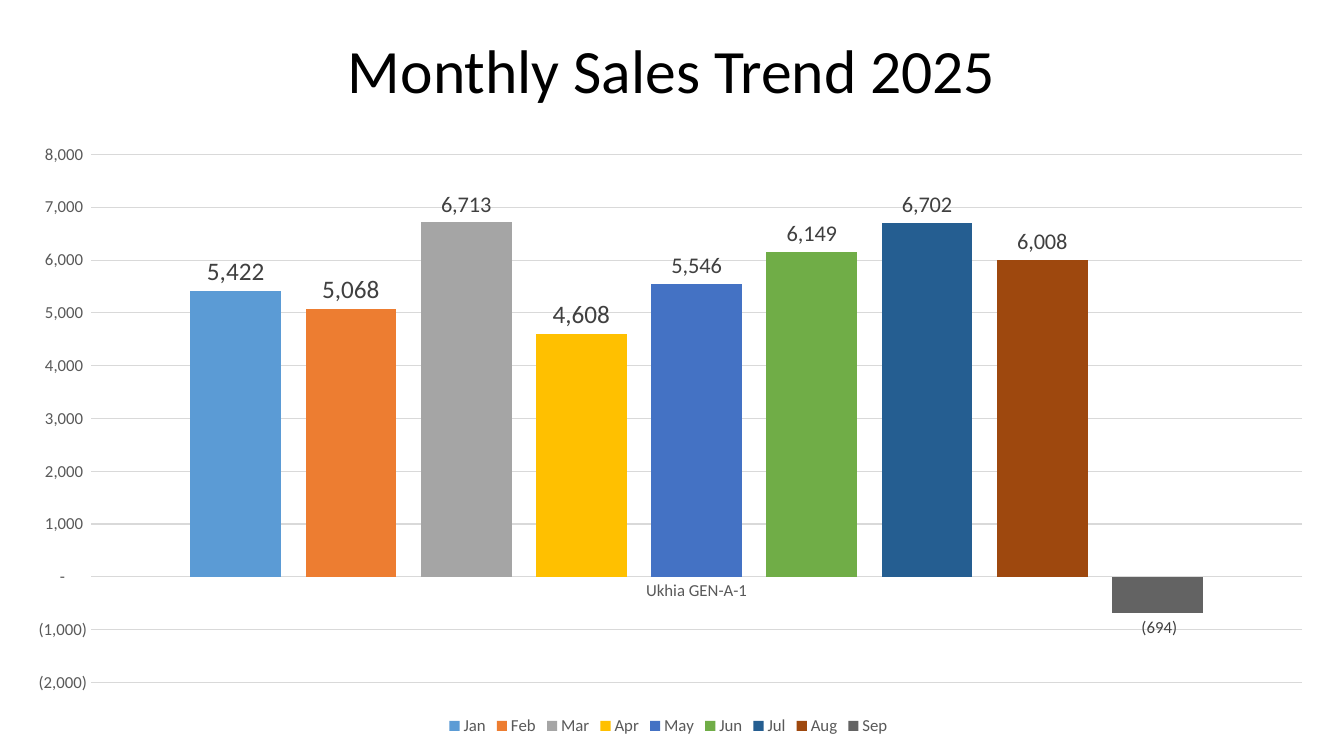
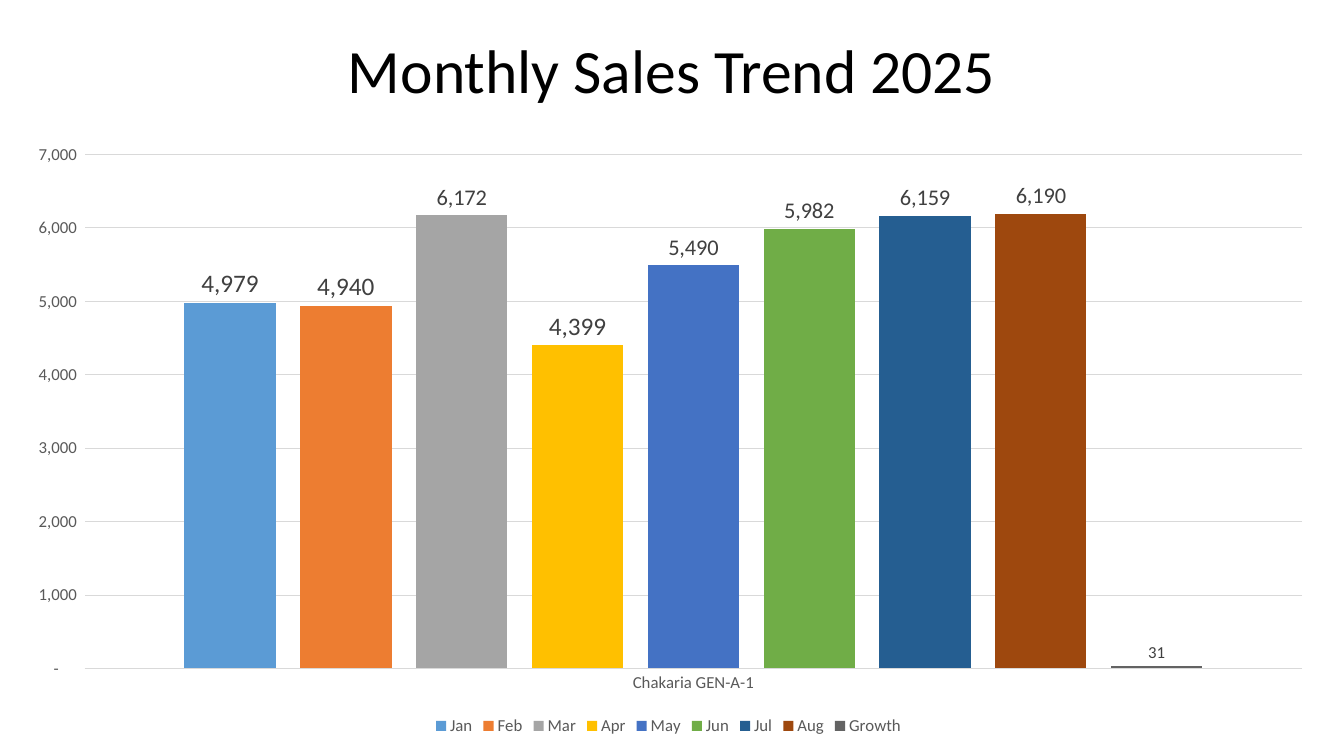
from dataclasses import dataclass

from pptx import Presentation
from pptx.chart.chart import Chart
from pptx.chart.data import CategoryChartData
from pptx.dml.color import RGBColor
from pptx.enum.chart import XL_CHART_TYPE, XL_LABEL_POSITION, XL_LEGEND_POSITION, XL_TICK_MARK
from pptx.enum.text import MSO_ANCHOR, MSO_AUTO_SIZE, PP_ALIGN
from pptx.slide import Slide
from pptx.text.text import Font
from pptx.util import Pt

FONT = "Calibri"
TITLE = "Monthly Sales Trend 2025"
NUMBER_FORMAT = '_(* #,##0_);_(* \\(#,##0\\);_(* "-"??_);_('
COLORS = {
    "title": "000000",
    "axis_text": "595959",
    "label": "404040",
    "grid": "D9D9D9",
}


@dataclass(frozen=True)
class ColumnStyle:
    fill: str
    label_size: int


@dataclass(frozen=True)
class SalesTrend:
    area: str
    values: dict[str, int]
    axis_minimum: int
    axis_maximum: int


COLUMN_STYLES = [
    ColumnStyle("5B9BD5", 18),
    ColumnStyle("ED7D31", 18),
    ColumnStyle("A5A5A5", 16),
    ColumnStyle("FFC000", 18),
    ColumnStyle("4472C4", 16),
    ColumnStyle("70AD47", 16),
    ColumnStyle("255E91", 16),
    ColumnStyle("9E480E", 16),
    ColumnStyle("636363", 12),
]

TRENDS = [
    SalesTrend(
        "Ukhia GEN-A-1",
        {"Jan": 5422, "Feb": 5068, "Mar": 6713, "Apr": 4608, "May": 5546,
         "Jun": 6149, "Jul": 6702, "Aug": 6008, "Sep": -694},
        -2000, 8000,
    ),
    SalesTrend(
        "Chakaria GEN-A-1",
        {"Jan": 4979, "Feb": 4940, "Mar": 6172, "Apr": 4399, "May": 5490,
         "Jun": 5982, "Jul": 6159, "Aug": 6190, "Growth": 31},
        0, 7000,
    ),
]


def set_font(font: Font, size: int, color: str) -> None:
    font.name = FONT
    font.size = Pt(size)
    font.bold = False
    font.color.rgb = RGBColor.from_string(color)


def format_title(slide: Slide) -> None:
    title = slide.shapes.title
    title.left, title.top, title.width, title.height = Pt(66), Pt(11), Pt(828), Pt(83.5)
    title.text = TITLE
    title.text_frame.word_wrap = True
    title.text_frame.auto_size = MSO_AUTO_SIZE.NONE
    title.text_frame.vertical_anchor = MSO_ANCHOR.MIDDLE
    paragraph = title.text_frame.paragraphs[0]
    paragraph.alignment = PP_ALIGN.CENTER
    paragraph.line_spacing = 0.9
    set_font(paragraph.font, 44, COLORS["title"])


def format_axes(chart: Chart, trend: SalesTrend) -> None:
    grid_color = RGBColor.from_string(COLORS["grid"])
    category_axis, value_axis = chart.category_axis, chart.value_axis
    for axis in (category_axis, value_axis):
        axis.major_tick_mark = axis.minor_tick_mark = XL_TICK_MARK.NONE
        set_font(axis.tick_labels.font, 12, COLORS["axis_text"])

    value_axis.minimum_scale = trend.axis_minimum
    value_axis.maximum_scale = trend.axis_maximum
    value_axis.major_unit = 1000
    value_axis.has_major_gridlines = True
    value_axis.format.line.fill.background()
    value_axis.tick_labels.number_format = NUMBER_FORMAT
    value_axis.tick_labels.number_format_is_linked = False
    for line in (category_axis.format.line, value_axis.major_gridlines.format.line):
        line.color.rgb = grid_color
        line.width = Pt(0.75)


def format_columns(chart: Chart) -> None:
    plot = chart.plots[0]
    plot.gap_width = 219
    plot.overlap = -27
    plot.vary_by_categories = False
    for series, style in zip(plot.series, COLUMN_STYLES):
        series.invert_if_negative = False
        series.format.fill.solid()
        series.format.fill.fore_color.rgb = RGBColor.from_string(style.fill)
        labels = series.data_labels
        labels.show_value = True
        labels.position = XL_LABEL_POSITION.OUTSIDE_END
        labels.number_format = NUMBER_FORMAT
        labels.number_format_is_linked = False
        set_font(labels.font, style.label_size, COLORS["label"])


def add_trend_chart(slide: Slide, trend: SalesTrend) -> None:
    # One series per month, so each column has its own legend entry
    chart_data = CategoryChartData(number_format=NUMBER_FORMAT)
    chart_data.categories = [trend.area]
    for month, value in trend.values.items():
        chart_data.add_series(month, [value])
    chart = slide.shapes.add_chart(
        XL_CHART_TYPE.COLUMN_CLUSTERED, Pt(6), Pt(94.5), Pt(943), Pt(434), chart_data
    ).chart
    chart.has_title = False
    set_font(chart.font, 10, COLORS["title"])
    format_axes(chart, trend)
    format_columns(chart)

    # Legend
    chart.has_legend = True
    chart.legend.position = XL_LEGEND_POSITION.BOTTOM
    chart.legend.include_in_layout = False
    set_font(chart.legend.font, 12, COLORS["axis_text"])


def main() -> None:
    presentation = Presentation()
    presentation.slide_width, presentation.slide_height = Pt(960), Pt(540)
    title_only = presentation.slide_layouts.get_by_name("Title Only")
    for trend in TRENDS:
        slide = presentation.slides.add_slide(title_only)
        format_title(slide)
        add_trend_chart(slide, trend)
    presentation.save("out.pptx")


if __name__ == "__main__":
    main()
